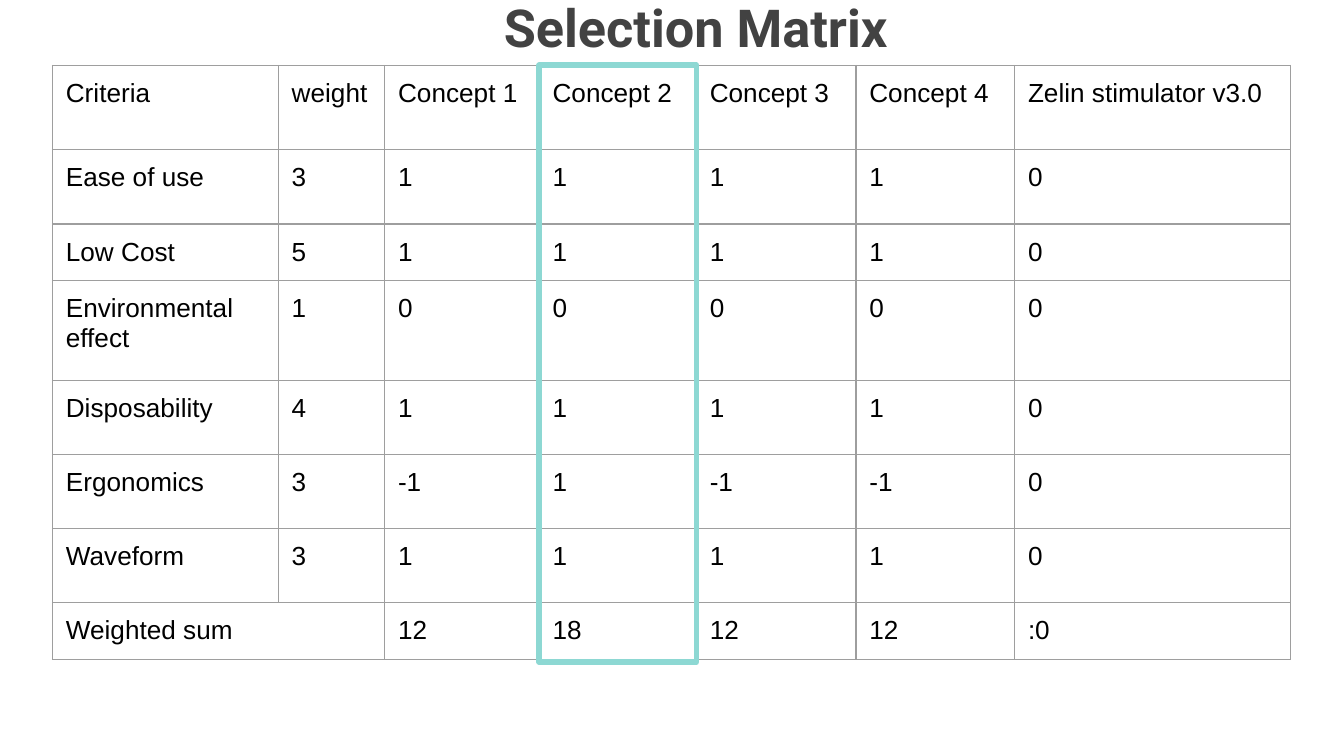
from lxml import etree
from pptx import Presentation
from pptx.dml.color import RGBColor
from pptx.enum import shapes, text
from pptx.oxml import ns
from pptx.util import Pt

COLUMN_WIDTHS = [121, 57, 82.8, 84.2, 85.5, 85, 147.7]
ROW_HEIGHTS = [45.2, 39.8, 30.4, 53.4, 39.7, 39.7, 39.7, 30.4]
ROWS = [
    ["Criteria", "weight", "Concept 1", "Concept 2", "Concept 3", "Concept 4",
     "Zelin stimulator v3.0"],
    ["Ease of use", "3", "1", "1", "1", "1", "0"],
    ["Low Cost", "5", "1", "1", "1", "1", "0"],
    ["Environmental effect", "1", "0", "0", "0", "0", "0"],
    ["Disposability", "4", "1", "1", "1", "1", "0"],
    ["Ergonomics", "3", "-1", "1", "-1", "-1", "0"],
    ["Waveform", "3", "1", "1", "1", "1", "0"],
    ["Weighted sum", "", "12", "18", "12", "12", ":0"],
]
CHOSEN_COLUMN = 3
INSET = Pt(7.2)
MARGINS = {f"margin_{side}": INSET for side in ("left", "top", "right", "bottom")}


def colour(value):
    return RGBColor.from_string(value)


def set_attributes(target, values):
    for name, value in values.items():
        setattr(target, name, value)


def set_font(font, value, **values):
    set_attributes(font, values)
    font.color.rgb = colour(value)


def add_title(page, left, top, width, height):
    title = page.shapes.title
    set_attributes(title, {"left": Pt(left), "top": Pt(top),
                           "width": Pt(width), "height": Pt(height)})
    frame = title.text_frame
    set_attributes(frame, {**MARGINS, "word_wrap": True,
                           "auto_size": text.MSO_AUTO_SIZE.NONE,
                           "vertical_anchor": text.MSO_ANCHOR.TOP})
    para = frame.paragraphs[0]
    para.text = "Selection Matrix"
    set_attributes(para, {"alignment": text.PP_ALIGN.CENTER, "line_spacing": 1.0})
    set_font(para.runs[0].font, "424242", name="Roboto", size=Pt(28), bold=True)


def set_borders(cell, value, width):
    properties = cell._tc.get_or_add_tcPr()
    for index, edge in enumerate(("lnL", "lnR", "lnT", "lnB")):
        line = etree.Element(ns.qn(f"a:{edge}"), w=str(Pt(width)))
        fill = etree.SubElement(line, ns.qn("a:solidFill"))
        etree.SubElement(fill, ns.qn("a:srgbClr"), val=value)
        properties.insert(index, line)


def add_matrix(page, left, top):
    frame = page.shapes.add_table(
        len(ROWS), len(COLUMN_WIDTHS), Pt(left), Pt(top),
        Pt(sum(COLUMN_WIDTHS)), Pt(sum(ROW_HEIGHTS)))
    table = frame.table
    set_attributes(table, {"first_row": False, "horz_banding": False})
    for column, width in zip(table.columns, COLUMN_WIDTHS):
        column.width = Pt(width)
    for row, height, values in zip(table.rows, ROW_HEIGHTS, ROWS):
        row.height = Pt(height)
        for cell, value in zip(row.cells, values):
            set_attributes(cell, MARGINS)
            cell.fill.background()
            set_borders(cell, "9E9E9E", 0.75)
            para = cell.text_frame.paragraphs[0]
            para.text = value
            set_font(para.font, "000000", name="Arial", size=Pt(14))
            for span in para.runs:
                set_font(span.font, "000000", name="Arial", size=Pt(14))
    last = len(ROWS) - 1
    table.cell(last, 0).merge(table.cell(last, 1))


def add_highlight(page, left, top):
    """Outline the chosen column of the matrix placed at left, top."""
    outline = page.shapes.add_shape(
        shapes.MSO_SHAPE.RECTANGLE,
        Pt(left + sum(COLUMN_WIDTHS[:CHOSEN_COLUMN])), Pt(top),
        Pt(COLUMN_WIDTHS[CHOSEN_COLUMN]), Pt(sum(ROW_HEIGHTS) + 1.5))
    outline.shadow.inherit = False
    outline.fill.background()
    outline.line.color.rgb = colour("8DD8D3")
    outline.line.width = Pt(3)
    etree.SubElement(outline.line._get_or_add_ln(), ns.qn("a:round"))


def main():
    deck = Presentation()
    set_attributes(deck, {"slide_width": Pt(720), "slide_height": Pt(405)})
    page = deck.slides.add_slide(deck.slide_layouts.get_by_name("Title Only"))
    page.background.fill.solid()
    page.background.fill.fore_color.rgb = colour("FFFFFF")
    add_title(page, 95.8, -10, 553.7, 78.5)
    add_matrix(page, 28.1, 35)
    add_highlight(page, 28.1, 35)
    deck.save("out.pptx")


if __name__ == "__main__":
    main()
